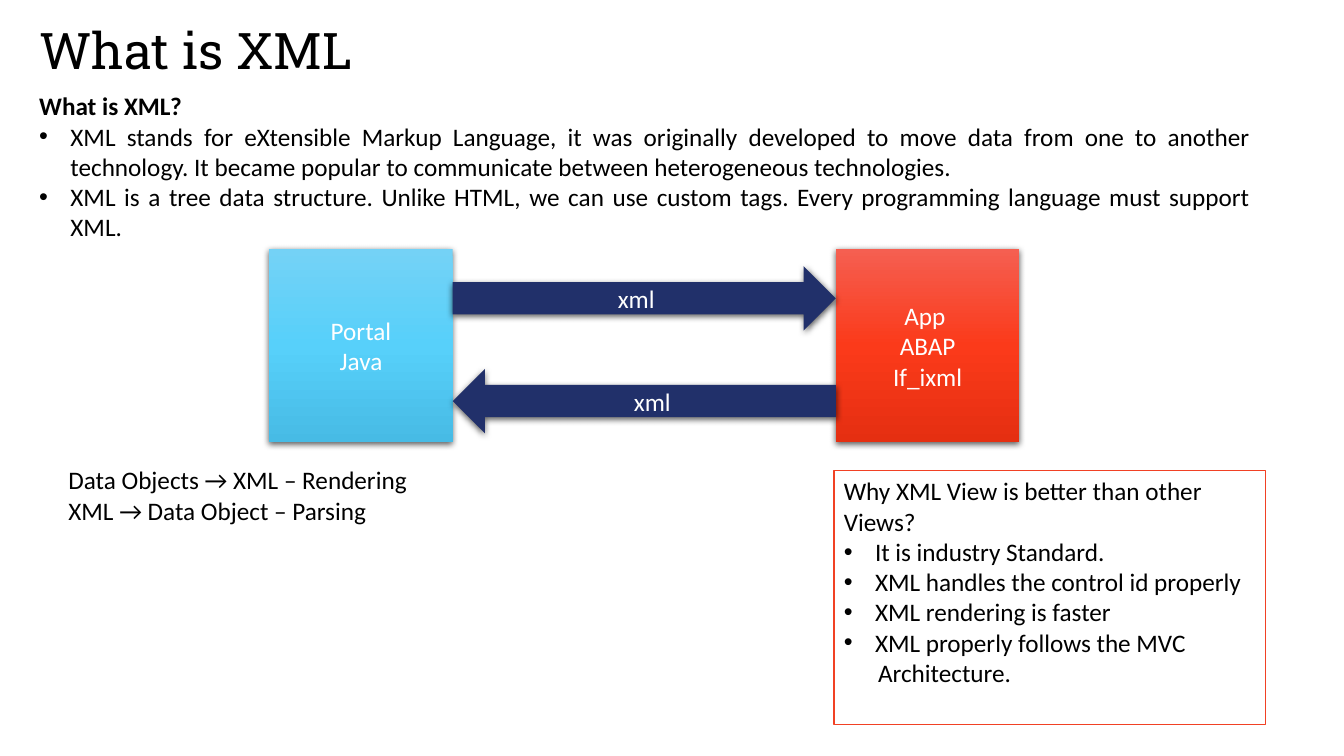
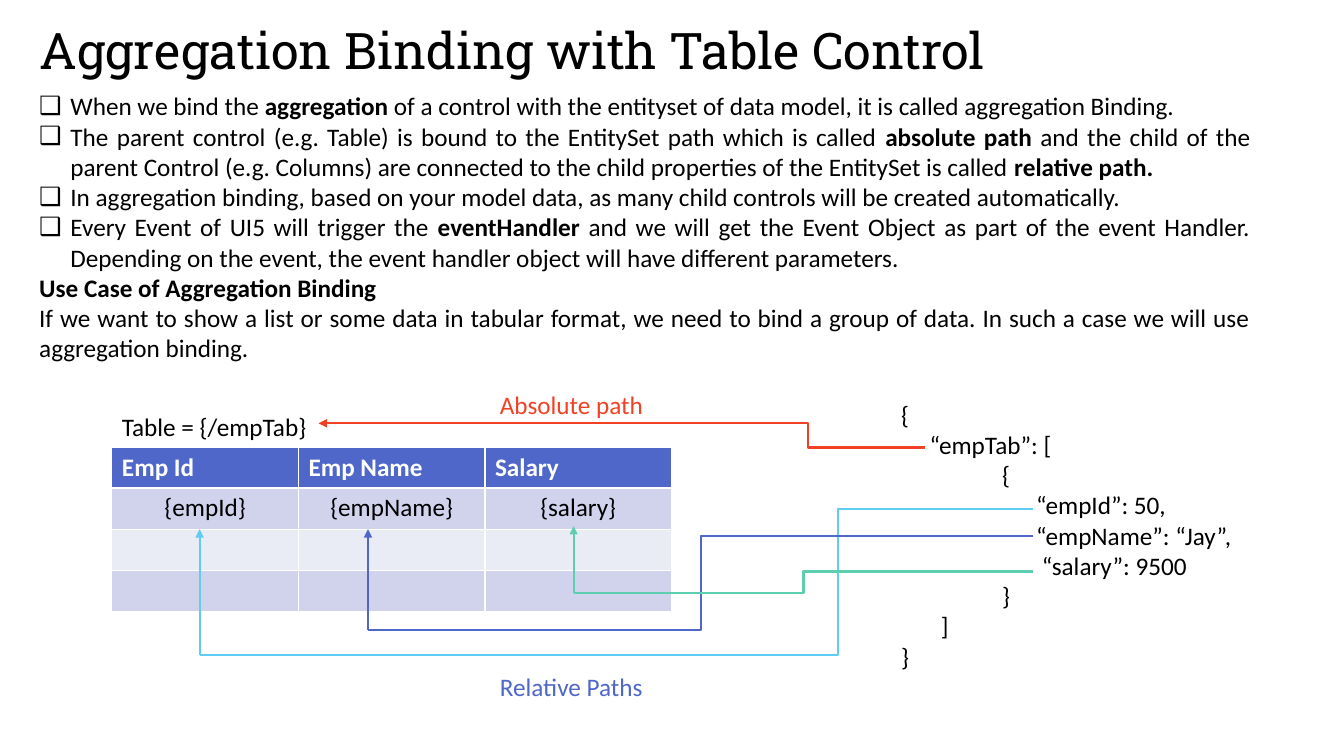
from copy import deepcopy
from lxml.etree import SubElement
from pptx import Presentation
from pptx.dml.color import RGBColor
from pptx.enum.shapes import MSO_CONNECTOR, MSO_SHAPE
from pptx.enum.text import MSO_ANCHOR, MSO_AUTO_SIZE, PP_ALIGN
from pptx.oxml.ns import qn
from pptx.util import Pt

PX = 9144
BLACK = RGBColor(0x00, 0x00, 0x00)
WHITE = RGBColor(0xFF, 0xFF, 0xFF)
RED = RGBColor(0xF1, 0x41, 0x24)
BLUE = RGBColor(0x4E, 0x67, 0xC8)
CYAN = RGBColor(0x5E, 0xCC, 0xF3)
GREEN = RGBColor(0x5D, 0xCE, 0xAF)
NAVY = RGBColor(0x21, 0x30, 0x6A)
BAND = RGBColor(0xD0, 0xD3, 0xEB)
PALE = RGBColor(0xE9, 0xEB, 0xF5)
SKY = [RGBColor(0x74, 0xD2, 0xF6), RGBColor(0x57, 0xD0, 0xFA), RGBColor(0x47, 0xBB, 0xE5)]
FIRE = [RGBColor(0xF5, 0x5F, 0x51), RGBColor(0xFB, 0x3A, 0x1A), RGBColor(0xE5, 0x2F, 0x11)]
MARKS = ("•", "❑")
LEFT, MID, FULL = PP_ALIGN.LEFT, PP_ALIGN.CENTER, PP_ALIGN.JUSTIFY


def area(*sides):
    return [side * PX for side in sides]


def write(frame, lines, tint=BLACK, align=LEFT):
    frame.word_wrap = True
    for i, line in enumerate(lines):
        para = frame.paragraphs[0] if i == 0 else frame.add_paragraph()
        props = para._p.get_or_add_pPr()
        if line.startswith(MARKS):
            props.set("marL", str(31 * PX))
            props.set("indent", str(-31 * PX))
            SubElement(props, qn("a:buFont"), typeface="Arial")
            SubElement(props, qn("a:buChar"), char=line[0])
            line = line[2:]
        if line.startswith("\t"):
            tabs = SubElement(props, qn("a:tabLst"))
            SubElement(tabs, qn("a:tab"), pos=str(100 * PX), algn="l")
        para.alignment = align
        for j, part in enumerate(line.split("*")):
            if part:
                run = para.add_run()
                run.text = part
                run.font.size = Pt(18)
                run.font.name = "Calibri"
                run.font.bold = j % 2 == 1
                run.font.color.rgb = tint


deck = Presentation()
deck.slide_width, deck.slide_height = area(1333, 750)

pages = [
    ("What is XML", 850, 192, [
        "*What is XML?*",
        "• XML stands for eXtensible Markup Language, it was originally developed to move data from one to another technology. It became popular to communicate between heterogeneous technologies.",
        "• XML is a tree data structure. Unlike HTML, we can use custom tags. Every programming language must support XML.",
    ]),
    ("Aggregation Binding with Table Control", 1153, 313, [
        "❑ When we bind the *aggregation* of a control with the entityset of data model, it is called aggregation Binding.",
        "❑ The parent control (e.g. Table) is bound to the EntitySet path which is called *absolute path* and the child of the parent Control (e.g. Columns) are connected to the child properties of the EntitySet is called *relative path.*",
        "❑ In aggregation binding, based on your model data, as many child controls will be created automatically.",
        "❑ Every Event of UI5 will trigger the *eventHandler *and we will get the Event Object as part of the event Handler. Depending on the event, the event handler object will have different parameters.",
        "*Use Case of Aggregation Binding*",
        "If we want to show a list or some data in tabular format, we need to bind a group of data. In such a case we will use aggregation binding.",
    ]),
]
for name, wide, high, body in pages:
    slide = deck.slides.add_slide(deck.slide_layouts[5])
    title = slide.shapes.title
    title.left, title.top, title.width, title.height = area(29, 20, wide, 65)
    frame = title.text_frame
    frame.text = name
    frame.auto_size = MSO_AUTO_SIZE.NONE
    frame.vertical_anchor = MSO_ANCHOR.MIDDLE
    para = frame.paragraphs[0]
    para.alignment = LEFT
    para.line_spacing = 0.9
    font = para.runs[0].font
    font.name, font.size = "Roboto Slab", Pt(36)
    font.color.rgb = BLACK
    box = slide.shapes.add_textbox(*area(29, 85, 1221, high))
    write(box.text_frame, body, align=FULL)

first, second = deck.slides

box = first.shapes.add_textbox(*area(58, 456, 675, 71))
write(box.text_frame, ["Data Objects → XML – Rendering", "XML → Data Object – Parsing"])

blocks = [
    (MSO_SHAPE.RECTANGLE, (267, 247, 182, 192), SKY, ["Portal", "Java"]),
    (MSO_SHAPE.RECTANGLE, (829, 247, 182, 192), FIRE, ["App ", "ABAP", "If_ixml"]),
    (MSO_SHAPE.RIGHT_ARROW, (449, 264, 380, 64), [NAVY], ["xml"]),
    (MSO_SHAPE.LEFT_ARROW, (449, 366, 380, 64), [NAVY], ["xml"]),
]
for kind, spot, tints, lines in blocks:
    block = first.shapes.add_shape(kind, *area(*spot))
    if len(tints) == 1:
        block.fill.solid()
        block.fill.fore_color.rgb = tints[0]
    else:
        block.fill.gradient()
        block.fill.gradient_angle = 270
        stops = block._element.spPr.find(".//" + qn("a:gsLst"))
        stops.insert(1, deepcopy(stops[0]))
        for i, stop in enumerate(block.fill.gradient_stops):
            stop.position = i / 2
            stop.color.rgb = tints[i]
    block.line.fill.background()
    block.shadow.inherit = False
    glow = SubElement(block._element.spPr.find(qn("a:effectLst")), qn("a:outerShdw"),
                      blurRad="57150", dist="19050", dir="5400000", rotWithShape="0")
    shade = SubElement(glow, qn("a:srgbClr"), val="000000")
    SubElement(shade, qn("a:alpha"), val="63000")
    block.text_frame.vertical_anchor = MSO_ANCHOR.MIDDLE
    write(block.text_frame, lines, WHITE, MID)

panel = first.shapes.add_shape(MSO_SHAPE.RECTANGLE, *area(827, 467, 428, 252))
panel.shadow.inherit = False
panel.fill.solid()
panel.fill.fore_color.rgb = WHITE
panel.line.color.rgb = RED
panel.line.width = Pt(1)
panel.text_frame.vertical_anchor = MSO_ANCHOR.TOP
write(panel.text_frame, [
    "Why XML View is better than other Views?",
    "• It is industry Standard.",
    "• XML handles the control id properly",
    "• XML rendering is faster",
    "• XML properly follows the MVC",
    "Architecture.",
])
panel.text_frame.paragraphs[-1]._p.get_or_add_pPr().set("marL", str(34 * PX))

cells = [
    ["Emp Id", "Emp Name", "Salary"],
    ["{empId}", "{empName}", "{salary}"],
    ["", "", ""],
    ["", "", ""],
]
grid = second.shapes.add_table(4, 3, *area(111, 444, 555, 163)).table
for col in grid.columns:
    col.width = 185 * PX
for i, (row, fill) in enumerate(zip(cells, [BLUE, BAND, PALE, BAND])):
    grid.rows[i].height = (41 if i else 40) * PX
    for j, word in enumerate(row):
        cell = grid.cell(i, j)
        cell.fill.solid()
        cell.fill.fore_color.rgb = fill
        if i:
            write(cell.text_frame, [word], align=MID)
        else:
            write(cell.text_frame, [f"*{word}*"], WHITE)

notes = [
    ((111, 403, 219, 40), BLACK, ["Table = {/empTab}"]),
    ((884, 391, 360, 283), BLACK, [
        "{",
        "     “empTab”: [",
        "\t{",
        "\t      “empId”: 50,",
        "\t      “empName”: “Jay”,",
        "\t       “salary”: 9500",
        "\t}",
        "       ]",
        "}",
    ]),
    ((486, 381, 276, 40), RED, ["Absolute path"]),
    ((486, 661, 180, 40), BLUE, ["Relative Paths"]),
]
for spot, tint, lines in notes:
    box = second.shapes.add_textbox(*area(*spot))
    write(box.text_frame, lines, tint)

links = [
    ((917, 444, 316, 420), RED, 19200, True),
    ((1025, 505, 198, 650), CYAN, 23400, False),
    ((198, 650, 198, 525), CYAN, None, True),
    ((1025, 532, 365, 625), BLUE, 50000, False),
    ((365, 625, 365, 525), BLUE, None, True),
    ((1025, 567, 569, 588), GREEN, 50000, False),
    ((569, 588, 569, 522), GREEN, None, True),
]
for ends, tint, bend, tip in links:
    kind = MSO_CONNECTOR.ELBOW if bend else MSO_CONNECTOR.STRAIGHT
    link = second.shapes.add_connector(kind, *area(*ends))
    link.line.color.rgb = tint
    link.line.width = Pt(1.5)
    props = link._element.spPr
    if bend:
        guides = props.find(".//" + qn("a:avLst"))
        SubElement(guides, qn("a:gd"), name="adj1", fmla=f"val {bend}")
    if tip:
        SubElement(props.find(qn("a:ln")), qn("a:tailEnd"), type="triangle")
    SubElement(props, qn("a:effectLst"))

deck.save("out.pptx")
